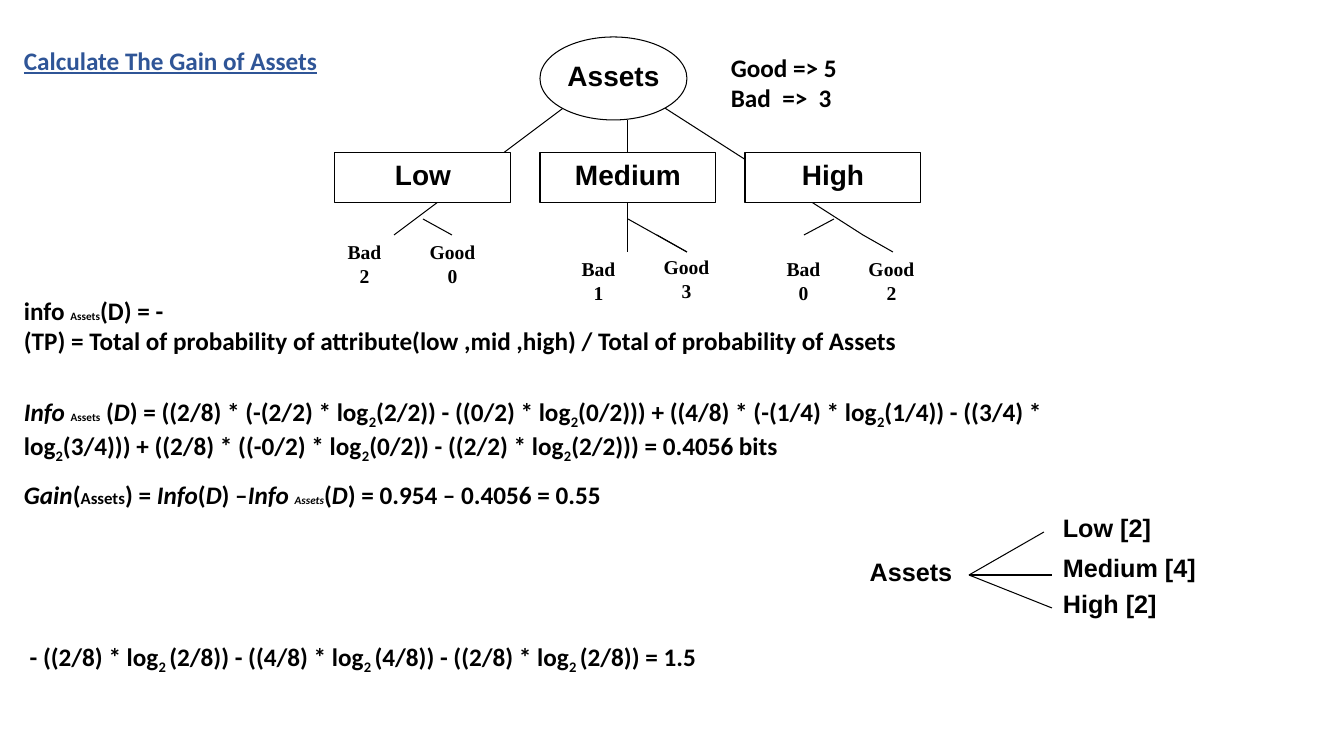
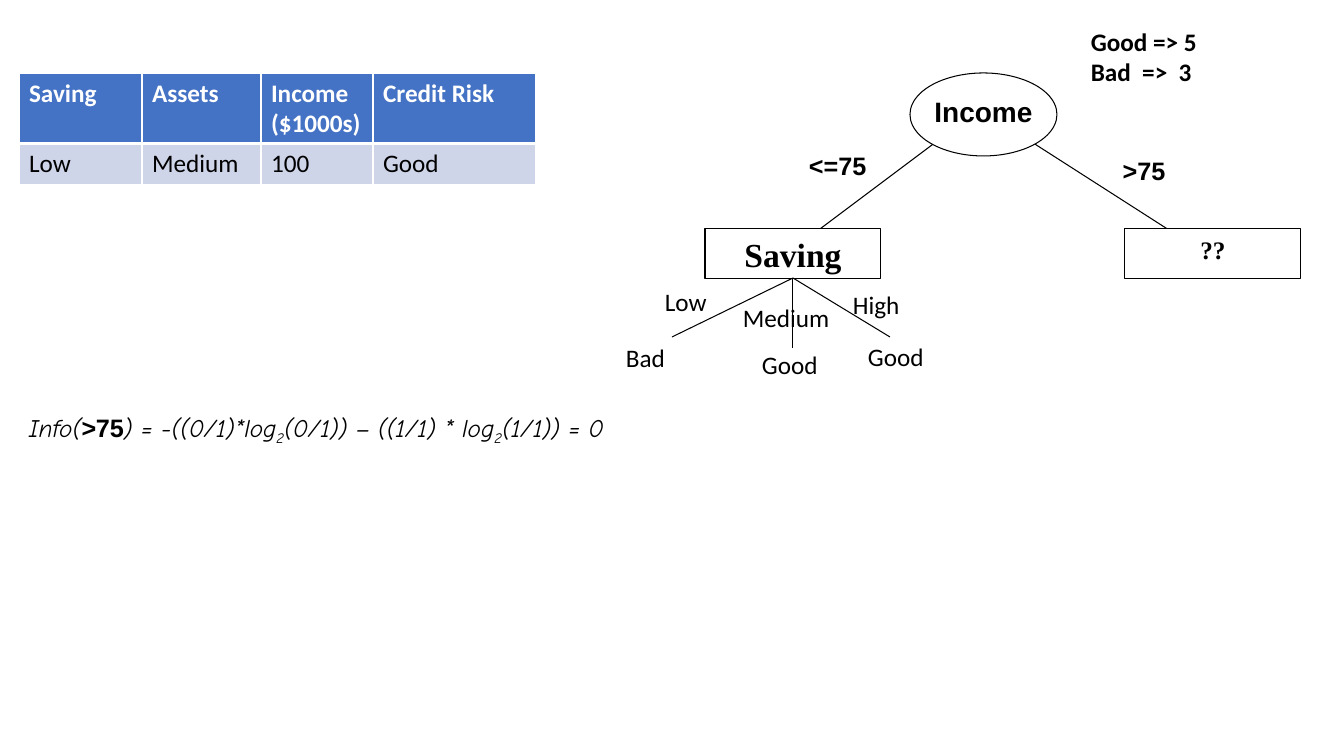
import dataclasses

import pptx
import pptx.dml.color
import pptx.enum.shapes
import pptx.enum.text
import pptx.oxml.ns
import pptx.util
from lxml import etree

PX = 12192000 / 1344
SHAPES = pptx.enum.shapes.MSO_SHAPE
CENTER = pptx.enum.text.PP_ALIGN.CENTER
qn = pptx.oxml.ns.qn


@dataclasses.dataclass(frozen=True)
class Theme:
    ink: str = "000000"
    paper: str = "FFFFFF"
    heading: str = "2F5597"
    table_head: str = "4472C4"
    table_body: str = "CFD5E9"
    body_font: str = "Calibri"
    node_font: str = "Arial"
    leaf_font: str = "Times New Roman"
    note_font: str = "Comic Neue"
    body: int = 18
    node: int = 20
    big_node: int = 24
    leaf: int = 14
    argument: int = 12
    index: int = 8
    hairline: float = 0.75
    cell_line: float = 0.96
    head_rule: float = 3


T = Theme()
ITALIC = {"italic": True}
UPRIGHT = {"italic": False}
INDEX = {"size": T.index}
NODE = {"font": T.node_font, "size": T.node, "align": CENTER}


def px(length):
    return pptx.util.Emu(round(length * PX))


def rgb(value):
    return pptx.dml.color.RGBColor.from_string(value)


# Text: "_" puts the digit after it, and a space after that, below the line
def add_run(paragraph, text, base=0, size=T.body, font=T.body_font,
            color=T.ink, bold=True, italic=False, underline=False):
    run = paragraph.add_run()
    run.text = text
    run.font.size = pptx.util.Pt(size)
    run.font.name = font
    run.font.color.rgb = rgb(color)
    run.font.bold = bold
    run.font.italic = italic
    if underline:
        run.font.underline = True
    if base:
        run.font._element.set("baseline", str(base))


def write(frame, text, align=None, **style):
    """Fill a frame from a string of lines, or a list of lines made of (text, style) runs."""
    lines = text.split("\n") if isinstance(text, str) else text
    for number, line in enumerate(lines):
        paragraph = frame.add_paragraph() if number else frame.paragraphs[0]
        paragraph.alignment = align
        for part, change in [(line, {})] if isinstance(line, str) else line:
            look = {**style, **change}
            first, *rest = part.split("_")
            if first:
                add_run(paragraph, first, **look)
            for piece in rest:
                cut = 2 if piece[1:2] == " " else 1
                add_run(paragraph, piece[:cut], base=-25000, **look)
                add_run(paragraph, piece[cut:], **look)


def add_text(slide, box, text, wrap=True, **style):
    frame = slide.shapes.add_textbox(*map(px, box)).text_frame
    frame.word_wrap = wrap
    write(frame, text, **style)


def add_node(slide, kind, box, text="", **style):
    node = slide.shapes.add_shape(kind, *map(px, box))
    node.shadow.inherit = False
    node.fill.solid()
    node.fill.fore_color.rgb = rgb(T.paper)
    node.line.color.rgb = rgb(T.ink)
    node.line.width = pptx.util.Pt(T.hairline)
    node.text_frame.vertical_anchor = pptx.enum.text.MSO_ANCHOR.TOP
    write(node.text_frame, text, **{**NODE, **style})


def add_fan(slide, start, *ends):
    for end in ends:
        branch = slide.shapes.add_connector(
            pptx.enum.shapes.MSO_CONNECTOR.STRAIGHT, *map(px, (*start, *end)))
        branch.line.color.rgb = rgb(T.ink)
        branch.line.width = pptx.util.Pt(T.hairline)
        etree.SubElement(branch._element.spPr, qn("a:effectLst"))


# Regions shared by both slides
def root_node(slide, left, top, label, middle=False):
    add_fan(slide, (left + 117, top + 66), (left + 323, top + 198))
    if middle:
        add_fan(slide, (left + 88, top + 83), (left + 88, top + 215))
    add_fan(slide, (left + 30, top + 66), (left - 146, top + 198))
    add_node(slide, SHAPES.OVAL, (left, top, 147, 83))
    add_text(slide, (left, top + 17, 147, 49), label, **NODE)


def class_totals(slide, left, top):
    add_text(slide, (left, top, 190, 71), "Good => 5\nBad  =>  3")


# Regions of the assets slide
def assets_tree(slide, left, top):
    root_node(slide, left, top, "Assets", middle=True)
    for column, level in enumerate(("Low", "Medium", "High")):
        add_node(slide, SHAPES.RECTANGLE,
                 (left + 205 * (column - 1), top + 116, 176, 50), level)
    fork = top + 182
    add_fan(slide, (left - 117, fork), (left - 88, fork + 16))
    add_fan(slide, (left + 88, fork), (left + 147, fork + 33))
    add_fan(slide, (left + 294, fork), (left + 264, fork + 16))
    for x in (117, 323):
        add_fan(slide, (left + x, fork + 16), (left + x + 30, fork + 33))
    leaves = ((-234, 198, "Bad\n2"), (-146, 198, "Good\n0"),
              (0, 215, "Bad\n1"), (88, 213, "Good\n3"),
              (205, 215, "Bad\n0"), (293, 215, "Good\n2"))
    for x, y, leaf in leaves:
        add_text(slide, (left + x, top + y, 117, 66), leaf,
                 font=T.leaf_font, size=T.leaf, align=CENTER)


def assets_formulas(slide, left):
    add_text(slide, (left, 391, 1113, 143), [[
        ("Info ", ITALIC), ("Assets", INDEX), (" (", {}), ("D", ITALIC),
        (") = ((2/8) * (-(2/2) * log_2(2/2)) - ((0/2) * log_2(0/2)))"
         " + ((4/8) * (-(1/4) * log_2(1/4)) - ((3/4) * log_2(3/4)))"
         " + ((2/8) * ((-0/2) * log_2(0/2)) - ((2/2) * log_2(2/2)))"
         " = 0.4056 bits", {})]])
    add_text(slide, (left, 290, 1315, 71), [
        [("info ", {}), ("Assets", INDEX), ("(D) = -", {})],
        "(TP) = Total of probability of attribute(low ,mid ,high)"
        " / Total of probability of Assets"])
    add_text(slide, (left, 474, 672, 71), [[
        ("Gain", {}), ("(", UPRIGHT),
        ("Assets", {"size": T.argument, **UPRIGHT}), (") = ", UPRIGHT),
        ("Info", {}), ("(", UPRIGHT), ("D", {}), (") –", UPRIGHT),
        ("Info ", {}), ("Assets", INDEX), ("(", UPRIGHT), ("D", {}),
        (") = 0.954 – 0.4056 = 0.55", UPRIGHT)]], italic=True)
    add_text(slide, (left, 636, 992, 44),
             " - ((2/8) * log_2 (2/8)) - ((4/8) * log_2 (4/8))"
             " - ((2/8) * log_2 (2/8)) = 1.5")


def assets_counts(slide, left, top):
    add_text(slide, (left, top + 44, 158, 40), "Assets",
             font=T.node_font, align=CENTER)
    add_fan(slide, (left + 137, top + 68), (left + 212, top + 25),
            (left + 220, top + 68), (left + 220, top + 101))
    for y, count in ((0, "Low [2]"), (40, "Medium [4]"), (76, "High [2]")):
        add_text(slide, (left + 221, top + y, 160, 40), count,
                 font=T.node_font)


def assets_slide(slide):
    assets_tree(slide, 540, 37)
    class_totals(slide, 721, 47)
    assets_formulas(slide, 14)
    assets_counts(slide, 832, 507)
    add_text(slide, (14, 40, 329, 71), "Calculate The Gain of Assets",
             color=T.heading, underline=True)


# Regions of the income slide
def income_tree(slide, left, top):
    root_node(slide, left, top, "Income")
    add_node(slide, SHAPES.RECTANGLE, (left - 205, top + 156, 176, 50),
             "Saving", font=T.leaf_font, size=T.big_node)
    add_node(slide, SHAPES.RECTANGLE, (left + 215, top + 156, 176, 50),
             "??", font=T.leaf_font, size=T.body)
    add_text(slide, (left - 111, top + 72, 88, 40), "<=75", font=T.node_font)
    add_text(slide, (left + 175, top + 77, 118, 40), ">75",
             font=T.node_font, align=CENTER)


def saving_branches(slide, x, y):
    add_fan(slide, (x, y), (x - 121, y + 59), (x, y + 70), (x + 97, y + 59))
    labels = ((-138, 3, 65, "Low"), (-60, 19, 120, "Medium"),
              (50, 6, 81, "High"), (-177, 59, 72, "Bad"),
              (65, 58, 83, "Good"), (-41, 66, 83, "Good"))
    for dx, dy, width, label in labels:
        add_text(slide, (x + dx, y + dy, width, 40), label,
                 wrap=label != "Medium", bold=False)


def set_borders(cell, bottom):
    properties = cell._tc.get_or_add_tcPr()
    for place, side in enumerate("LRTB"):
        width = bottom if side == "B" else T.cell_line
        border = etree.Element(qn("a:ln" + side), w=str(pptx.util.Pt(width)))
        fill = etree.SubElement(border, qn("a:solidFill"))
        etree.SubElement(fill, qn("a:srgbClr"), val=T.paper)
        properties.insert(place, border)


def customer_table(slide, left, top):
    records = (("Saving", "Assets", "Income ($1000s)", "Credit Risk"),
               ("Low", "Medium", "100", "Good"))
    widths = (123, 119, 112, 163)
    height = 41
    table = slide.shapes.add_table(
        len(records), len(widths),
        *map(px, (left, top, sum(widths), height * len(records)))).table
    for column, width in zip(table.columns, widths):
        column.width = px(width)
    for row, record in enumerate(records):
        head = row == 0
        table.rows[row].height = px(height)
        for column, value in enumerate(record):
            cell = table.cell(row, column)
            cell.fill.solid()
            cell.fill.fore_color.rgb = rgb(T.table_head if head else T.table_body)
            set_borders(cell, T.head_rule if head else T.cell_line)
            write(cell.text_frame, value, bold=head,
                  color=T.paper if head else T.ink)


def income_slide(slide):
    income_tree(slide, 910, 73)
    class_totals(slide, 1081, 21)
    saving_branches(slide, 793, 278)
    customer_table(slide, 19, 73)
    limit = {"font": T.node_font, "bold": True}
    add_text(slide, (19, 407, 744, 44), [[
        ("Info(", {}), (">", limit), ("75", {**limit, **UPRIGHT}),
        (") = -((0/1)*log_2(0/1)) – ((1/1) * log_2(1/1)) = 0", {})]],
        font=T.note_font, bold=False, italic=True)


deck = pptx.Presentation()
deck.slide_width, deck.slide_height = px(1344), px(756)
for build in (assets_slide, income_slide):
    build(deck.slides.add_slide(deck.slide_layouts[6]))
deck.save("out.pptx")
